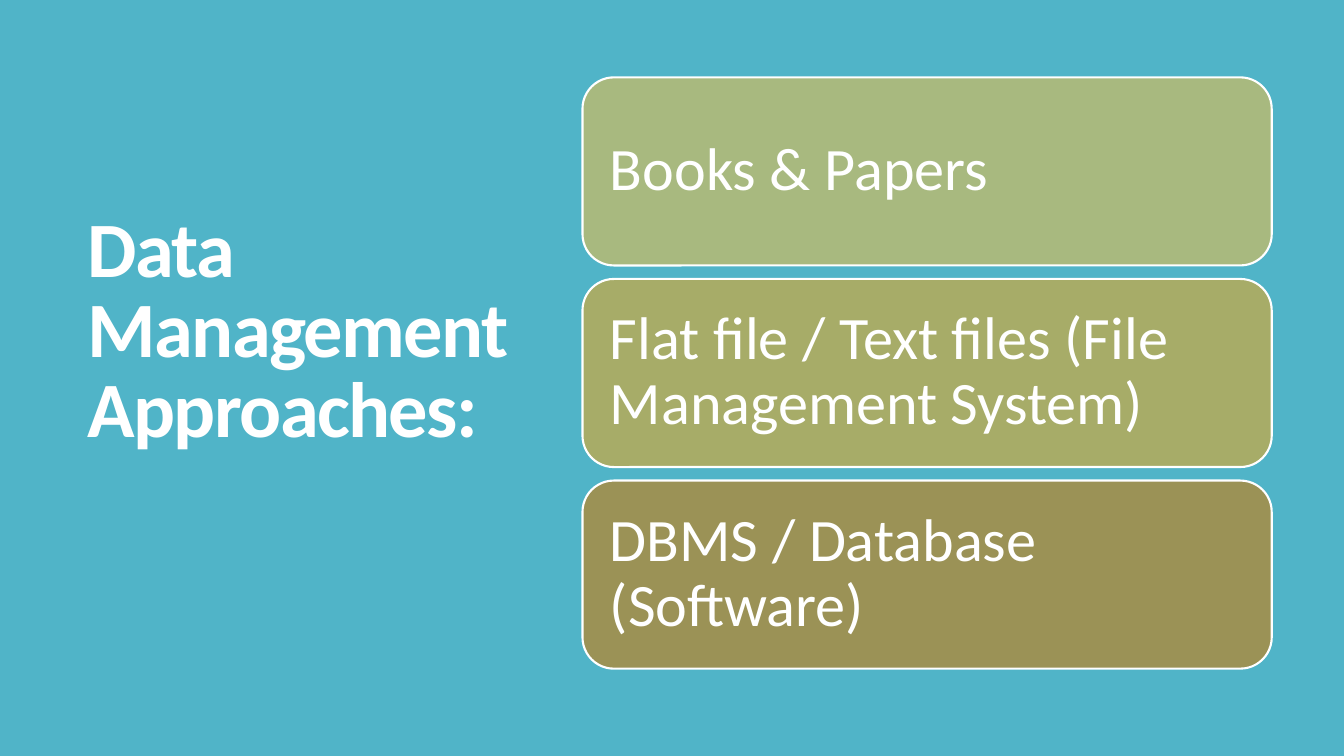
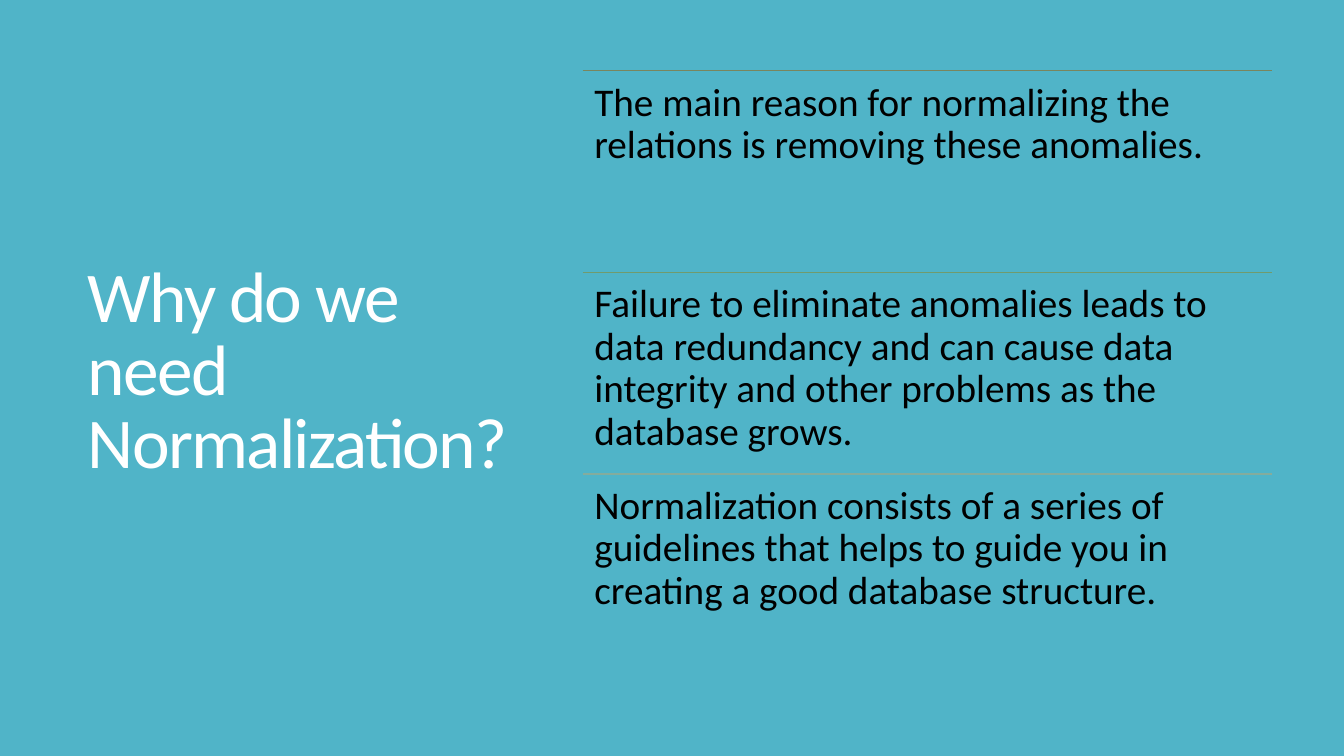
from dataclasses import dataclass
from typing import Any

from lxml.etree import SubElement
from pptx import Presentation
from pptx.dml.color import RGBColor
from pptx.enum.shapes import MSO_CONNECTOR as Conn, MSO_SHAPE as Shp
from pptx.enum.text import MSO_ANCHOR as Anchor, PP_ALIGN as Align
from pptx.oxml.ns import qn
from pptx.util import Cm, Pt

FONT = "Calibri"
TEAL, WHITE, BLACK = "50B4C8", "FFFFFF", "000000"
TOP, LEFT, WIDTH, PITCH = 1.78, 14.68, 17.37, 5.08
CARD_GAP = 0.34
CARD_H = PITCH - CARD_GAP


@dataclass(frozen=True)
class Item:
    text: str
    color: str


@dataclass(frozen=True)
class Title:
    text: str
    size: int
    bold: bool = False
    bottom: float = 0.13


APPROACHES = [
    Item("Books & Papers", "A8B97F"),
    Item("Flat file / Text files (File Management System)", "A7AC68"),
    Item("DBMS / Database (Software)", "9B9256"),
]
REASONS = [
    Item("The main reason for normalizing the relations is removing "
         "these anomalies.", "7A855D"),
    Item("Failure to eliminate anomalies leads to data redundancy and can "
         "cause data integrity and other problems as the database grows.",
         "709B6E"),
    Item("Normalization consists of a series of guidelines that helps to "
         "guide you in creating a good database structure.", "84AC9D"),
]


def rgb(color: str) -> RGBColor:
    return RGBColor.from_string(color)


def apply(target: Any, values: dict[str, Any]) -> None:
    for name, value in values.items():
        setattr(target, name, value)


def write(sp: Any, text: str, size: int, color: str, inset: float,
          anchor: Any = Anchor.TOP, spacing: float = 0.9,
          bold: bool = False, **frame: Any) -> Any:
    tf = sp.text_frame
    margins = {f"margin_{side}": Cm(inset)
               for side in ("left", "top", "right", "bottom")}
    apply(tf, {"word_wrap": True, "vertical_anchor": anchor,
               **margins, **frame})
    p = tf.paragraphs[0]
    apply(p, {"line_spacing": spacing, "alignment": Align.LEFT})
    r = p.add_run()
    r.text = text
    apply(r.font, {"name": FONT, "size": Pt(size), "bold": bold})
    r.font.color.rgb = rgb(color)
    return r


def add_title(s: Any, title: Title) -> None:
    sp = s.shapes.add_textbox(Cm(1.96), Cm(TOP), Cm(11.1), Cm(15.27))
    r = write(sp, title.text, title.size, WHITE, 0.25, Anchor.MIDDLE, 0.85,
              title.bold, margin_right=0, margin_top=Cm(0.13),
              margin_bottom=Cm(title.bottom))
    r.font._element.set("spc", "-120")


def add_card(s: Any, item: Item, top: float) -> None:
    sp = s.shapes.add_shape(Shp.ROUNDED_RECTANGLE, Cm(LEFT),
                            Cm(top + CARD_GAP / 2), Cm(WIDTH), Cm(CARD_H))
    sp.shadow.inherit = False
    sp.fill.solid()
    sp.fill.fore_color.rgb = rgb(item.color)
    sp.line.color.rgb = rgb(WHITE)
    sp.line.width = Pt(1.5)
    write(sp, item.text, 43, WHITE, 0.46, Anchor.MIDDLE)


def add_ruled_text(s: Any, item: Item, top: float) -> None:
    rule = s.shapes.add_connector(Conn.STRAIGHT, Cm(LEFT), Cm(top),
                                  Cm(LEFT + WIDTH), Cm(top))
    rule.line.color.rgb = rgb(item.color)
    rule.line.width = Pt(1)
    SubElement(rule._element.spPr, qn("a:effectLst"))
    sp = s.shapes.add_textbox(Cm(LEFT), Cm(top), Cm(WIDTH), Cm(PITCH))
    write(sp, item.text, 28, BLACK, 0.3)


def main() -> None:
    prs = Presentation()
    apply(prs, {"slide_width": Cm(33.87), "slide_height": Cm(19.05)})
    fill = prs.slide_master.background.fill
    fill.solid()
    fill.fore_color.rgb = rgb(TEAL)
    slides = [
        (Title("Data Management Approaches:", 56, True, 2.15),
         APPROACHES, add_card),
        (Title("Why do we need Normalization?", 51), REASONS, add_ruled_text),
    ]
    for title, items, draw in slides:
        s = prs.slides.add_slide(prs.slide_layouts[6])
        add_title(s, title)
        for i, item in enumerate(items):
            draw(s, item, TOP + i * PITCH)
    prs.save("out.pptx")


if __name__ == "__main__":
    main()
